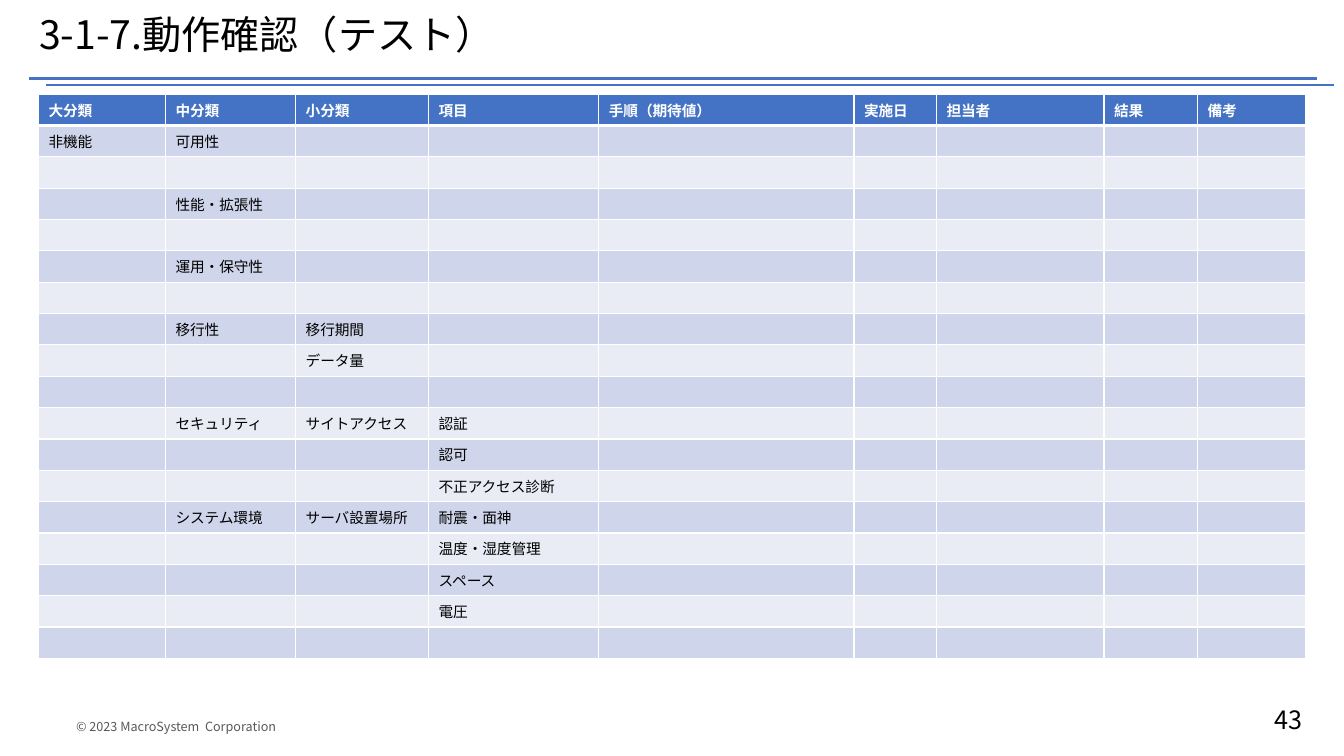
from lxml.etree import SubElement
from pptx import Presentation
from pptx.dml.color import RGBColor
from pptx.enum.shapes import MSO_CONNECTOR
from pptx.enum.text import MSO_ANCHOR, PP_ALIGN
from pptx.oxml.ns import qn
from pptx.util import Cm, Pt

FONT = "Noto Sans CJK JP"
BLACK = RGBColor(0x00, 0x00, 0x00)
WHITE = RGBColor(0xFF, 0xFF, 0xFF)
GRAY = RGBColor(0x59, 0x59, 0x59)
BLUE = RGBColor(0x44, 0x72, 0xC4)
BAND_DARK = RGBColor(0xCF, 0xD5, 0xEA)
BAND_LIGHT = RGBColor(0xE9, 0xEB, 0xF5)

HEADERS = ["大分類", "中分類", "小分類", "項目", "手順（期待値）",
           "実施日", "担当者", "結果", "備考"]
COL_WIDTHS = [3.2, 3.28, 3.35, 4.29, 6.43, 2.08, 4.22, 2.36, 2.72]
ROW_HEIGHT = 0.79
TEST_ROWS = [
    ["非機能", "可用性"],
    [],
    ["", "性能・拡張性"],
    [],
    ["", "運用・保守性"],
    [],
    ["", "移行性", "移行期間"],
    ["", "", "データ量"],
    [],
    ["", "セキュリティ", "サイトアクセス", "認証"],
    ["", "", "", "認可"],
    ["", "", "", "不正アクセス診断"],
    ["", "システム環境", "サーバ設置場所", "耐震・面神"],
    ["", "", "", "温度・湿度管理"],
    ["", "", "", "スペース"],
    ["", "", "", "電圧"],
    [],
]


def write_text(p, text, size, color, bold=False):
    """Fill a paragraph, using one font for Latin and Japanese characters."""
    if text:
        p.text = text
    else:
        # An empty cell needs its own size, or its row grows
        SubElement(p._p, qn("a:endParaRPr"), sz=str(int(size * 100)))
    font = p.font
    font.size, font.bold, font.name = Pt(size), bold, FONT
    font.color.rgb = color
    SubElement(font._rPr, qn("a:ea"), typeface=FONT)


def add_border(cell, side, points):
    ln = SubElement(cell._tc.get_or_add_tcPr(), qn(f"a:ln{side}"), w=str(Pt(points)))
    fill = SubElement(ln, qn("a:solidFill"))
    SubElement(fill, qn("a:srgbClr"), val=str(WHITE))


prs = Presentation()
prs.slide_width, prs.slide_height = Cm(33.87), Cm(19.05)
s = prs.slides.add_slide(prs.slide_layouts[6])

# Title, footer and page number
TEXTS = [
    ("3-1-7.動作確認（テスト）", (0.74, 0, 32.44, 1.85), 28, BLACK,
     PP_ALIGN.LEFT, MSO_ANCHOR.MIDDLE, 0.25),
    ("© 2023 MacroSystem  Corporation", (1.32, 17.98, 9.63, 0.64), 9, GRAY,
     PP_ALIGN.LEFT, MSO_ANCHOR.TOP, 0.6),
    ("43", (28.3, 17.63, 4.78, 1.02), 18, BLACK,
     PP_ALIGN.RIGHT, MSO_ANCHOR.TOP, 0.25),
]
for text, box, size, color, align, anchor, left_inset in TEXTS:
    tf = s.shapes.add_textbox(*map(Cm, box)).text_frame
    tf.word_wrap = True
    tf.vertical_anchor = anchor
    tf.margin_left = Cm(left_inset)
    p = tf.paragraphs[0]
    p.alignment = align
    write_text(p, text, size, color)
    if size == 28:
        p.line_spacing = 0.9

# Double rule under the title
for left, y, width in [(0.74, 1.98, 1.75), (1.17, 2.14, 1)]:
    rule = s.shapes.add_connector(
        MSO_CONNECTOR.STRAIGHT, Cm(left), Cm(y), Cm(left + 32.44), Cm(y))
    rule.line.color.rgb = BLUE
    rule.line.width = Pt(width)
    SubElement(rule._element.spPr, qn("a:effectLst"))

# Test table
rows = [HEADERS] + TEST_ROWS
table = s.shapes.add_table(
    len(rows), len(HEADERS), Cm(0.97), Cm(2.37),
    Cm(sum(COL_WIDTHS)), Cm(ROW_HEIGHT * len(rows))).table
table.horz_banding = False
for column, width in zip(table.columns, COL_WIDTHS):
    column.width = Cm(width)

for i, row in enumerate(rows):
    table.rows[i].height = Cm(ROW_HEIGHT)
    is_header = i == 0
    band = BLUE if is_header else BAND_DARK if i % 2 else BAND_LIGHT
    for j in range(len(HEADERS)):
        cell = table.cell(i, j)
        text = row[j] if j < len(row) else ""
        write_text(cell.text_frame.paragraphs[0], text, 10.5,
                   WHITE if is_header else BLACK, bold=is_header)
        for side in "LRTB":
            thick = (i, side) in [(0, "B"), (1, "T")]
            add_border(cell, side, 3 if thick else 1)
        cell.fill.solid()
        cell.fill.fore_color.rgb = band

prs.save("out.pptx")
